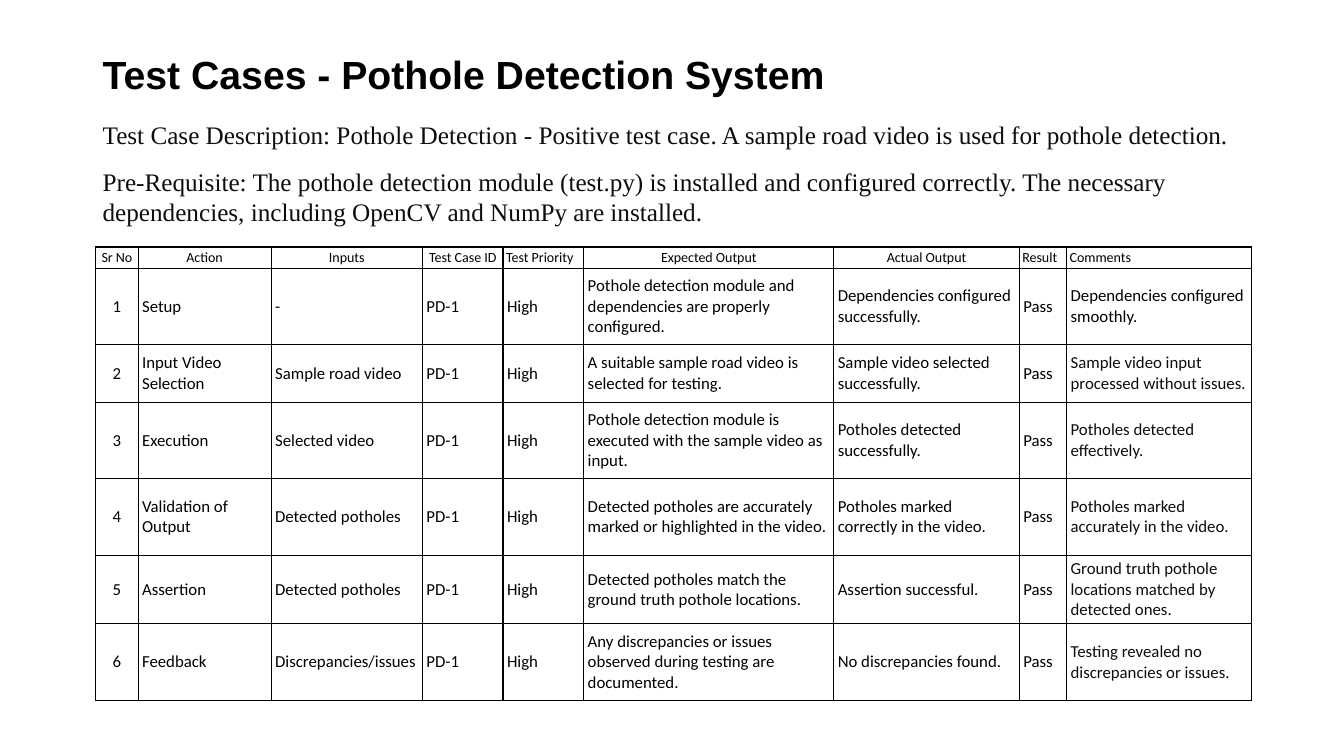
from lxml import etree
from pptx import Presentation
from pptx.dml.color import RGBColor
from pptx.enum.text import MSO_ANCHOR, PP_ALIGN
from pptx.oxml.ns import qn
from pptx.util import Inches, Pt

MIDDLE, TOP = MSO_ANCHOR.MIDDLE, MSO_ANCHOR.TOP
LEFT, CENTER = PP_ALIGN.LEFT, PP_ALIGN.CENTER
COLORS = {"black": "000000", "ink": "0D0D0D"}

TITLE = "Test Cases - Pothole Detection System"
INTRO = [
    "Test Case Description: Pothole Detection - Positive test case. "
    "A sample road video is used for pothole detection.",
    "Pre-Requisite: The pothole detection module (test.py) is installed and configured correctly. "
    "The necessary dependencies, including OpenCV and NumPy are installed.",
]
# heading, column width, heading alignment
COLUMNS = [
    ("Sr No", 0.42, CENTER),
    ("Action", 1.32, CENTER),
    ("Inputs", 1.5, CENTER),
    ("Test Case ID", 0.8, CENTER),
    ("Test Priority", 0.8, LEFT),
    ("Expected Output", 2.48, CENTER),
    ("Actual Output", 1.84, CENTER),
    ("Result", 0.47, LEFT),
    ("Comments", 1.83, LEFT),
]
# action, inputs, expected output, actual output, comments
CASES = [
    ("Setup", "-", "Pothole detection module and dependencies are properly configured.",
     "Dependencies configured successfully.", "Dependencies configured smoothly."),
    ("Input Video Selection", "Sample road video",
     "A suitable sample road video is selected for testing.",
     "Sample video selected successfully.", "Sample video input processed without issues."),
    ("Execution", "Selected video",
     "Pothole detection module is executed with the sample video as input.",
     "Potholes detected successfully.", "Potholes detected effectively."),
    ("Validation of Output", "Detected potholes",
     "Detected potholes are accurately marked or highlighted in the video.",
     "Potholes marked correctly in the video.", "Potholes marked accurately in the video."),
    ("Assertion", "Detected potholes",
     "Detected potholes match the ground truth pothole locations.",
     "Assertion successful.", "Ground truth pothole locations matched by detected ones."),
    ("Feedback", "Discrepancies/issues",
     "Any discrepancies or issues observed during testing are documented.",
     "No discrepancies found.", "Testing revealed no discrepancies or issues."),
]
CASE_ID, PRIORITY, RESULT = "PD-1", "High", "Pass"
ROW_HEIGHTS = [0.21, 0.76, 0.57, 0.76, 0.76, 0.68, 0.76]


def add_run(p, text, font, size, color, bold=False):
    r = p.add_run()
    r.text = text
    r.font.name, r.font.size, r.font.bold = font, Pt(size), bold
    r.font.color.rgb = RGBColor.from_string(COLORS[color])


def add_text(s, box, paragraphs, anchor, line_spacing, gap, **style):
    tf = s.shapes.add_textbox(*(Inches(v) for v in box)).text_frame
    tf.word_wrap, tf.vertical_anchor = True, anchor
    for i, text in enumerate(paragraphs):
        p = tf.add_paragraph() if i else tf.paragraphs[0]
        p.line_spacing = line_spacing
        if i:
            p.space_before = Pt(gap)
        add_run(p, text, **style)


def add_borders(cell):
    tc_pr = cell._tc.get_or_add_tcPr()
    for i, side in enumerate(("lnL", "lnR", "lnT", "lnB")):
        ln = etree.Element(qn("a:" + side), w=str(Pt(1)))
        fill = etree.SubElement(ln, qn("a:solidFill"))
        etree.SubElement(fill, qn("a:srgbClr"), val=COLORS["black"])
        tc_pr.insert(i, ln)


def fill_cell(cell, text, align, inset, size, color):
    cell.fill.background()
    cell.vertical_anchor = MIDDLE
    cell.margin_left = cell.margin_right = Inches(inset)
    cell.margin_top = cell.margin_bottom = 0
    p = cell.text_frame.paragraphs[0]
    p.alignment = align
    add_run(p, text, "Calibri", size, color)
    add_borders(cell)


def add_case_table(s, left, top):
    widths = [width for _, width, _ in COLUMNS]
    table = s.shapes.add_table(
        len(ROW_HEIGHTS), len(COLUMNS), Inches(left), Inches(top),
        Inches(sum(widths)), Inches(sum(ROW_HEIGHTS))).table
    table.first_row = table.horz_banding = False
    for column, width in zip(table.columns, widths):
        column.width = Inches(width)
    for row, height in zip(table.rows, ROW_HEIGHTS):
        row.height = Inches(height)

    for c, (heading, _, align) in enumerate(COLUMNS):
        fill_cell(table.cell(0, c), heading, align, 0.03, 10, "black")
    last = len(COLUMNS) - 1
    for n, (action, inputs, expected, actual, comment) in enumerate(CASES, 1):
        values = (str(n), action, inputs, CASE_ID, PRIORITY, expected, actual, RESULT, comment)
        for c, text in enumerate(values):
            color = "ink" if c == last and n > 1 else "black"
            fill_cell(table.cell(n, c), text, LEFT if c else CENTER, 0.04, 12, color)


def main():
    prs = Presentation()
    prs.slide_width, prs.slide_height = Inches(13.33), Inches(7.5)
    s = prs.slides.add_slide(prs.slide_layouts[6])
    add_text(s, (0.92, 0.4, 11.5, 0.73), [TITLE], MIDDLE, 0.9, 0,
             font="Arial", size=28, color="black", bold=True)
    add_text(s, (0.92, 1.13, 11.5, 5.97), INTRO, TOP, 1.0, 12,
             font="Times New Roman", size=18, color="ink")
    add_case_table(s, 0.95, 2.45)
    prs.save("out.pptx")


if __name__ == "__main__":
    main()
